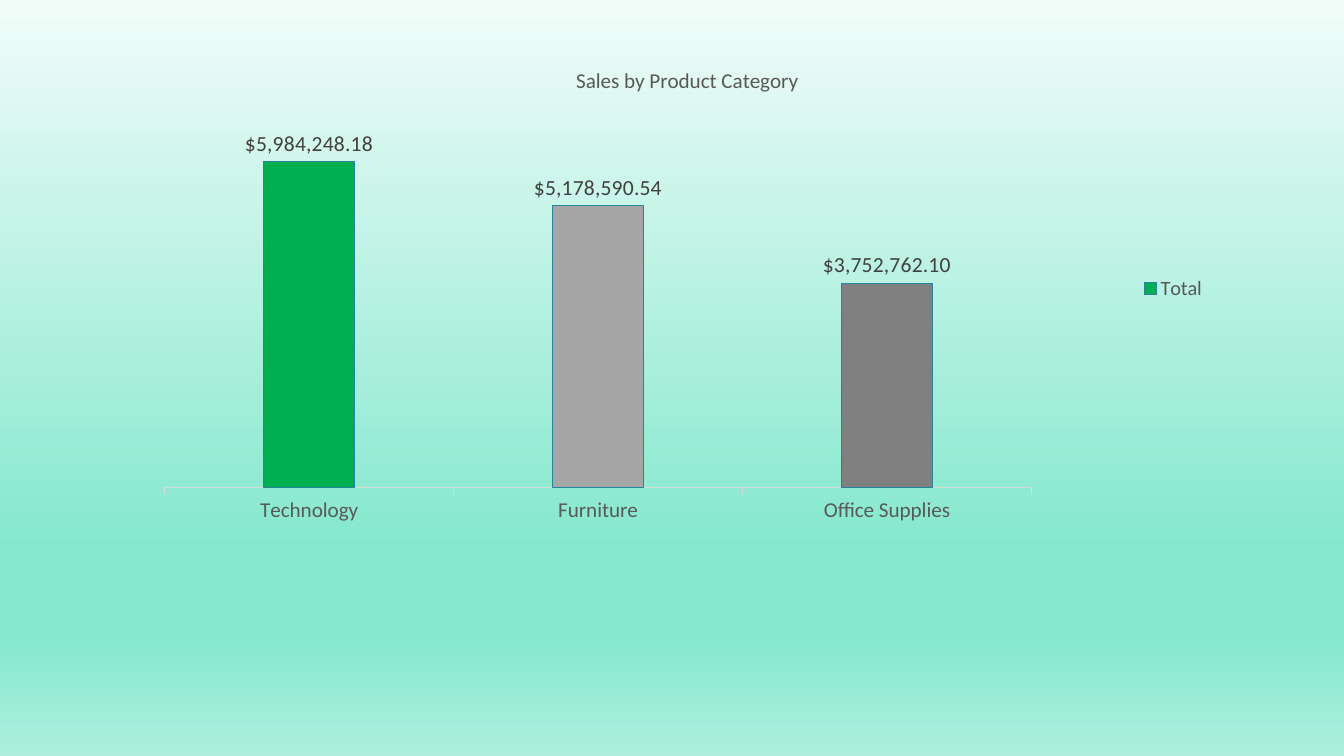
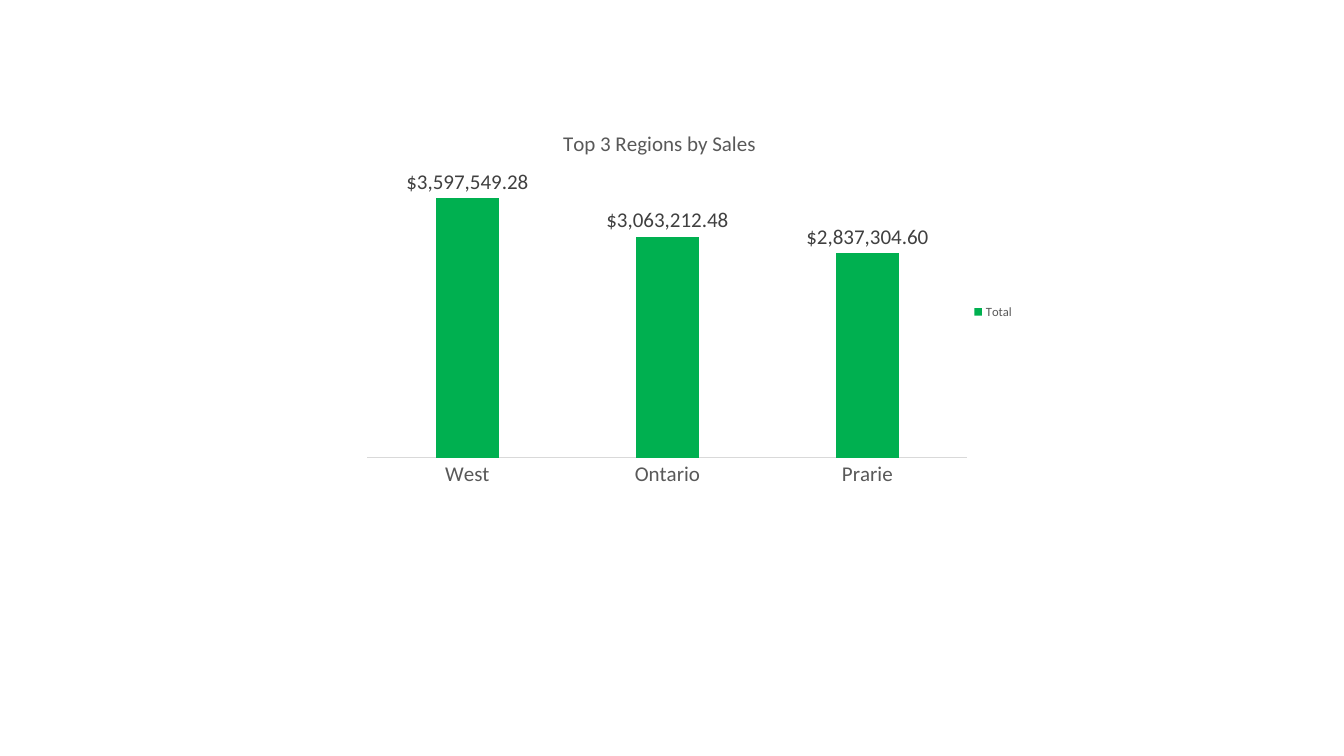
from dataclasses import dataclass, field

from lxml.etree import SubElement
from pptx import Presentation
from pptx.chart.chart import Chart
from pptx.chart.data import CategoryChartData
from pptx.chart.series import BarSeries
from pptx.dml.color import RGBColor
from pptx.dml.fill import FillFormat
from pptx.dml.line import LineFormat
from pptx.enum.chart import XL_CHART_TYPE as ChartType
from pptx.enum.chart import XL_LABEL_POSITION as LabelPosition
from pptx.enum.chart import XL_LEGEND_POSITION as LegendPosition
from pptx.enum.chart import XL_TICK_LABEL_POSITION as TickLabelPosition
from pptx.enum.chart import XL_TICK_MARK as TickMark
from pptx.oxml.ns import qn
from pptx.oxml.xmlchemy import OxmlElement
from pptx.slide import Slide
from pptx.text.text import Font
from pptx.util import Inches, Pt


@dataclass(frozen=True)
class Theme:
    font: str = "Calibri"
    base_size: float = 10
    base_text: str = "000000"
    text: str = "595959"
    label_text: str = "404040"
    axis_line: str = "D9D9D9"
    line_width: float = 0.75
    bar: str = "00B050"
    light_bar: str = "A6A6A6"
    dark_bar: str = "808080"
    bar_outline: str = "26859D"
    background: str = "FFFFFF"
    gradient: tuple[tuple[int, str], ...] = (
        (0, "F1FCF9"), (74, "83E8CC"), (83, "83E8CC"), (100, "ACEFDD"),
    )
    currency: str = "[$$-1009]#,##0.00"


THEME = Theme()


@dataclass(frozen=True)
class Box:
    left: float
    top: float
    width: float
    height: float


@dataclass(frozen=True)
class SalesChart:
    title: str
    sales: dict[str, float]
    frame: Box
    plot_area: Box  # fractions of the frame
    axis_maximum: float
    text_size: float
    label_size: float
    legend_size: float
    tick_mark: TickMark = TickMark.NONE
    outline: str | None = None
    point_colors: dict[int, str] = field(default_factory=dict)
    gradient_background: bool = False


CHARTS = (
    SalesChart(
        title="Sales by Product Category",
        sales={
            "Technology": 5984248.18,
            "Furniture": 5178590.54,
            "Office Supplies": 3752762.10,
        },
        frame=Box(1.56, 0.47, 10.51, 4.78),
        plot_area=Box(0.007, 0.122, 0.818, 0.792),
        axis_maximum=7_000_000,
        text_size=15.1,
        label_size=15.4,
        legend_size=14.5,
        tick_mark=TickMark.OUTSIDE,
        outline=THEME.bar_outline,
        point_colors={1: THEME.light_bar, 2: THEME.dark_bar},
        gradient_background=True,
    ),
    SalesChart(
        title="Top 3 Regions by Sales",
        sales={"West": 3597549.28, "Ontario": 3063212.48, "Prarie": 2837304.60},
        frame=Box(2.92, 1.11, 7.24, 3.97),
        plot_area=Box(0.1, 0.144, 0.822, 0.721),
        axis_maximum=4_000_000,
        text_size=15,
        label_size=15,
        legend_size=9,
    ),
)


def style_font(font: Font, size: float, color: str = THEME.text) -> None:
    font.name = THEME.font
    font.size = Pt(size)
    font.bold = False
    font.color.rgb = RGBColor.from_string(color)


def fill_solid(fill: FillFormat, color: str) -> None:
    fill.solid()
    fill.fore_color.rgb = RGBColor.from_string(color)


def style_line(line: LineFormat, color: str | None) -> None:
    if color is None:
        line.fill.background()
        return
    line.width = Pt(THEME.line_width)
    fill_solid(line.fill, color)


def set_background(slide: Slide, gradient: bool) -> None:
    fill = slide.background.fill
    if not gradient:
        fill_solid(fill, THEME.background)
        return
    fill.gradient()
    fill.gradient_angle = 270
    stops = next(slide.element.iter(qn("a:gsLst")))
    for stop in list(stops):
        stops.remove(stop)
    for percent, color in THEME.gradient:
        stop = SubElement(stops, qn("a:gs"), pos=str(percent * 1000))
        SubElement(stop, qn("a:srgbClr"), val=color)


def place_plot_area(chart: Chart, area: Box) -> None:
    """Fix the inner plot area, given in fractions of the chart frame."""
    plot_area = next(chart.element.iter(qn("c:plotArea")))
    for old_layout in plot_area.findall(qn("c:layout")):
        plot_area.remove(old_layout)
    layout = OxmlElement("c:layout")
    plot_area.insert(0, layout)
    manual = SubElement(layout, qn("c:manualLayout"))
    settings = {
        "layoutTarget": "inner", "xMode": "edge", "yMode": "edge",
        "x": area.left, "y": area.top, "w": area.width, "h": area.height,
    }
    for name, value in settings.items():
        SubElement(manual, qn(f"c:{name}"), val=str(value))


def style_title(chart: Chart, content: SalesChart) -> None:
    chart.has_title = True
    chart.chart_title.include_in_layout = False
    run = chart.chart_title.text_frame.paragraphs[0].add_run()
    run.text = content.title
    style_font(run.font, content.text_size)


def style_axes(chart: Chart, content: SalesChart) -> None:
    category_axis = chart.category_axis
    category_axis.major_tick_mark = content.tick_mark
    category_axis.minor_tick_mark = TickMark.NONE
    category_axis.tick_label_position = TickLabelPosition.NEXT_TO_AXIS
    style_font(category_axis.tick_labels.font, content.text_size)
    style_line(category_axis.format.line, THEME.axis_line)

    value_axis = chart.value_axis
    value_axis.minimum_scale = 0
    value_axis.maximum_scale = content.axis_maximum
    value_axis.has_major_gridlines = False
    value_axis.visible = False


def style_series(series: BarSeries, content: SalesChart) -> None:
    series.invert_if_negative = False
    fill_solid(series.format.fill, THEME.bar)
    style_line(series.format.line, content.outline)
    for index, color in content.point_colors.items():
        point_format = series.points[index].format
        fill_solid(point_format.fill, color)
        style_line(point_format.line, content.outline)

    labels = series.data_labels
    labels.show_value = True
    labels.position = LabelPosition.OUTSIDE_END
    labels.number_format = THEME.currency
    labels.number_format_is_linked = False
    style_font(labels.font, content.label_size, THEME.label_text)


def add_sales_chart(slide: Slide, content: SalesChart) -> None:
    data = CategoryChartData(number_format=THEME.currency)
    data.categories = list(content.sales)
    data.add_series("Total", list(content.sales.values()))
    frame = content.frame
    chart = slide.shapes.add_chart(
        ChartType.COLUMN_CLUSTERED,
        Inches(frame.left), Inches(frame.top),
        Inches(frame.width), Inches(frame.height),
        data,
    ).chart
    style_font(chart.font, THEME.base_size, THEME.base_text)
    style_title(chart, content)
    style_axes(chart, content)

    plot = chart.plots[0]
    plot.vary_by_categories = False
    plot.gap_width = 219
    plot.overlap = -27
    style_series(plot.series[0], content)

    chart.has_legend = True
    chart.legend.position = LegendPosition.RIGHT
    chart.legend.include_in_layout = False
    style_font(chart.legend.font, content.legend_size)
    place_plot_area(chart, content.plot_area)


def main() -> None:
    presentation = Presentation()
    presentation.slide_width = Inches(13.33)
    presentation.slide_height = Inches(7.5)
    blank_layout = presentation.slide_layouts.get_by_name("Blank")
    for content in CHARTS:
        slide = presentation.slides.add_slide(blank_layout)
        set_background(slide, content.gradient_background)
        add_sales_chart(slide, content)
    presentation.save("out.pptx")


if __name__ == "__main__":
    main()
